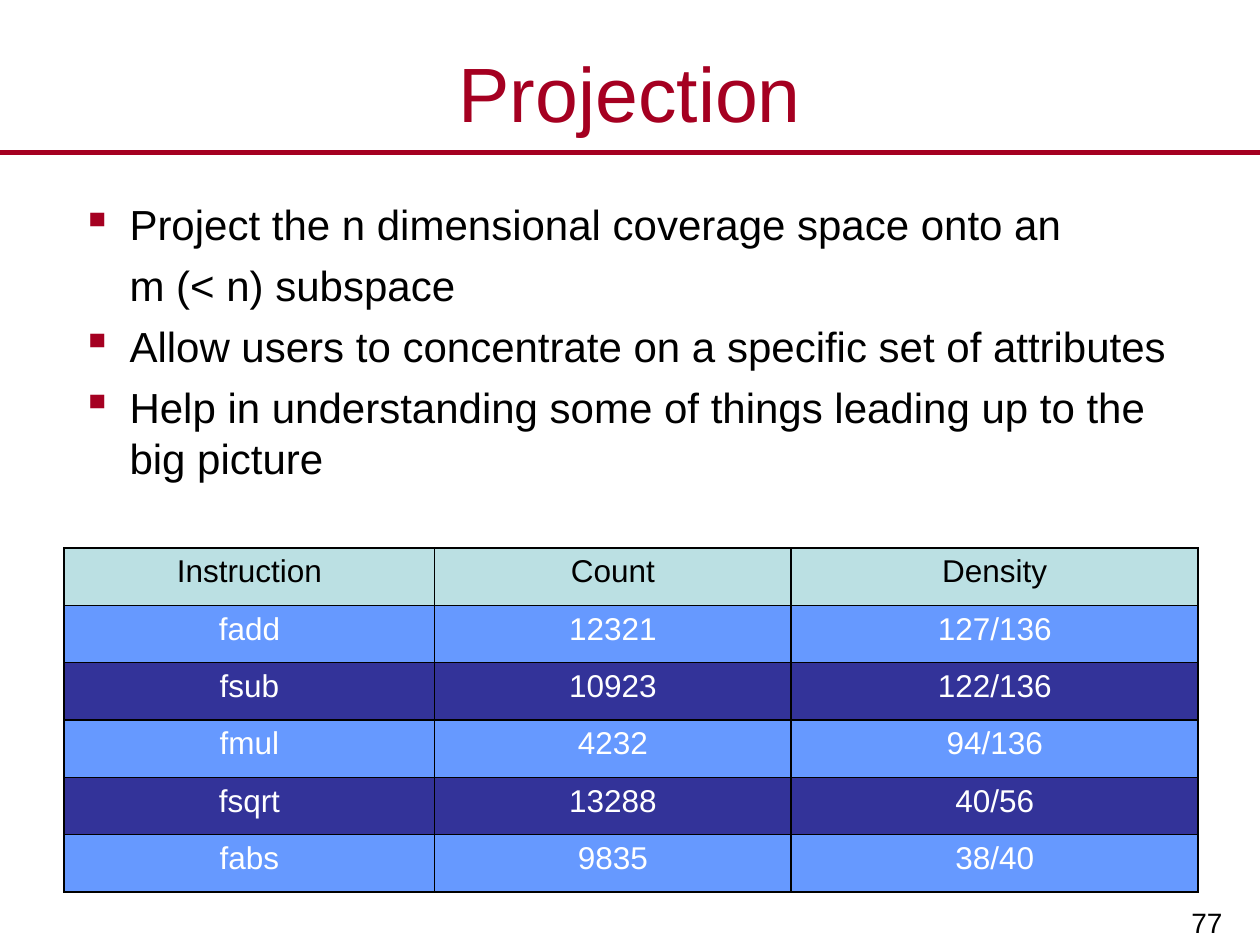
from dataclasses import dataclass

from lxml import etree
from pptx import Presentation
from pptx.dml.color import RGBColor
from pptx.enum.shapes import MSO_CONNECTOR
from pptx.enum.text import MSO_ANCHOR, PP_ALIGN
from pptx.oxml.ns import qn
from pptx.util import Emu, Inches, Pt

LEFT, CENTER, RIGHT = PP_ALIGN.LEFT, PP_ALIGN.CENTER, PP_ALIGN.RIGHT
TOP, MIDDLE, BOTTOM = MSO_ANCHOR.TOP, MSO_ANCHOR.MIDDLE, MSO_ANCHOR.BOTTOM
STRAIGHT = MSO_CONNECTOR.STRAIGHT
TITLE_ONLY = 5


@dataclass(frozen=True)
class Theme:
    font: str = "Arial"
    accent: str = "A50021"
    ink: str = "000000"
    paper: str = "FFFFFF"
    header: str = "BBE0E3"
    bands: tuple = ("6699FF", "333399")
    title_size: int = 44
    body_size: int = 24
    table_size: int = 18
    number_size: int = 16
    rule_width: int = 3
    border_width: int = 1


def rgb(value):
    return RGBColor.from_string(value)


def write(paragraph, text, *, font, size, color, align=LEFT, before=0):
    paragraph.alignment = align
    paragraph.space_before = Pt(before)
    run = paragraph.add_run()
    run.text = text
    run.font.name = font
    run.font.size = Pt(size)
    run.font.color.rgb = rgb(color)


def indent(paragraph, hang, bullet_color=None):
    """Indent a paragraph, hanging a square bullet when a colour is given."""
    props = paragraph._p.get_or_add_pPr()
    props.set("marL", str(hang))
    props.set("indent", str(-hang if bullet_color else 0))
    if bullet_color:
        color = etree.SubElement(props, qn("a:buClr"))
        etree.SubElement(color, qn("a:srgbClr"), val=bullet_color)
        etree.SubElement(props, qn("a:buChar"), char="▪")
    else:
        etree.SubElement(props, qn("a:buNone"))


def outline(cell, color, width):
    """Put the four borders ahead of the fill, as the schema orders them."""
    props = cell._tc.get_or_add_tcPr()
    for position, side in enumerate(("a:lnL", "a:lnR", "a:lnT", "a:lnB")):
        line = etree.Element(qn(side), w=str(Pt(width)))
        fill = etree.SubElement(line, qn("a:solidFill"))
        etree.SubElement(fill, qn("a:srgbClr"), val=color)
        props.insert(position, line)


class SlideBuilder:
    """Places elements by shares of the slide's width and height."""

    def __init__(self, deck, theme):
        self.theme = theme
        self.width, self.height = deck.slide_width, deck.slide_height
        self.slide = deck.slides.add_slide(deck.slide_layouts[TITLE_ONLY])
        background = self.slide.background.fill
        background.solid()
        background.fore_color.rgb = rgb(theme.paper)

    def area(self, left, top, width, height):
        return (Emu(round(left * self.width)), Emu(round(top * self.height)),
                Emu(round(width * self.width)), Emu(round(height * self.height)))

    def title(self, text, *share):
        holder = self.slide.shapes.title
        holder.left, holder.top, holder.width, holder.height = self.area(*share)
        holder.text_frame.vertical_anchor = MIDDLE
        write(holder.text_frame.paragraphs[0], text, font=self.theme.font,
              size=self.theme.title_size, color=self.theme.accent, align=CENTER)

    def rule(self, top):
        left, y, width, _ = self.area(0, top, 1, 0)
        line = self.slide.shapes.add_connector(STRAIGHT, left, y, left + width, y)
        line.line.color.rgb = rgb(self.theme.accent)
        line.line.width = Pt(self.theme.rule_width)
        etree.SubElement(line._element.spPr, qn("a:effectLst"))

    def text_frame(self, share, anchor):
        frame = self.slide.shapes.add_textbox(*self.area(*share)).text_frame
        frame.word_wrap = True
        frame.vertical_anchor = anchor
        return frame

    def points(self, items, *share, hang=0.038, gap=6):
        """Write (text, has_bullet) pairs as one list."""
        frame = self.text_frame(share, TOP)
        for index, (text, has_bullet) in enumerate(items):
            paragraph = frame.add_paragraph() if index else frame.paragraphs[0]
            indent(paragraph, round(hang * self.width),
                   self.theme.accent if has_bullet else None)
            write(paragraph, text, font=self.theme.font, size=self.theme.body_size,
                  color=self.theme.ink, before=gap if index else 0)

    def page_number(self, number, *share):
        frame = self.text_frame(share, BOTTOM)
        write(frame.paragraphs[0], number, font=self.theme.font,
              size=self.theme.number_size, color=self.theme.ink, align=RIGHT)

    def table(self, rows, column_shares, *share):
        theme = self.theme
        table = self.slide.shapes.add_table(
            len(rows), len(rows[0]), *self.area(*share)).table
        for column, width in zip(table.columns, column_shares):
            column.width = Emu(round(width * self.width))
        for r, row in enumerate(rows):
            fill = theme.bands[(r - 1) % 2] if r else theme.header
            for c, text in enumerate(row):
                cell = table.cell(r, c)
                cell.fill.solid()
                cell.fill.fore_color.rgb = rgb(fill)
                outline(cell, theme.ink, theme.border_width)
                write(cell.text_frame.paragraphs[0], text, font=theme.font,
                      size=theme.table_size, align=CENTER,
                      color=theme.paper if r else theme.ink)


POINTS = [
    ("Project the n dimensional coverage space onto an", True),
    ("m (< n) subspace", False),
    ("Allow users to concentrate on a specific set of attributes", True),
    ("Help in understanding some of things leading up to the big picture", True),
]
COVERAGE = [
    ("Instruction", "Count", "Density"),
    ("fadd", "12321", "127/136"),
    ("fsub", "10923", "122/136"),
    ("fmul", "4232", "94/136"),
    ("fsqrt", "13288", "40/56"),
    ("fabs", "9835", "38/40"),
]


def main():
    deck = Presentation()
    deck.slide_width, deck.slide_height = Inches(10), Inches(7.5)
    page = SlideBuilder(deck, Theme())
    page.rule(1.21 / 7.5)
    page.page_number("77", 0.78, 6.93 / 7.5, 0.2, 0.57 / 7.5)
    page.title("Projection", 0, 0.04, 1, 0.86 / 7.5)
    page.points(POINTS, 0.055, 1.53 / 7.5, 0.9, 2.49 / 7.5)
    page.table(COVERAGE, (0.294, 0.283, 0.323), 0.051, 0.58, 0.9, 2.73 / 7.5)
    deck.save("out.pptx")


if __name__ == "__main__":
    main()
